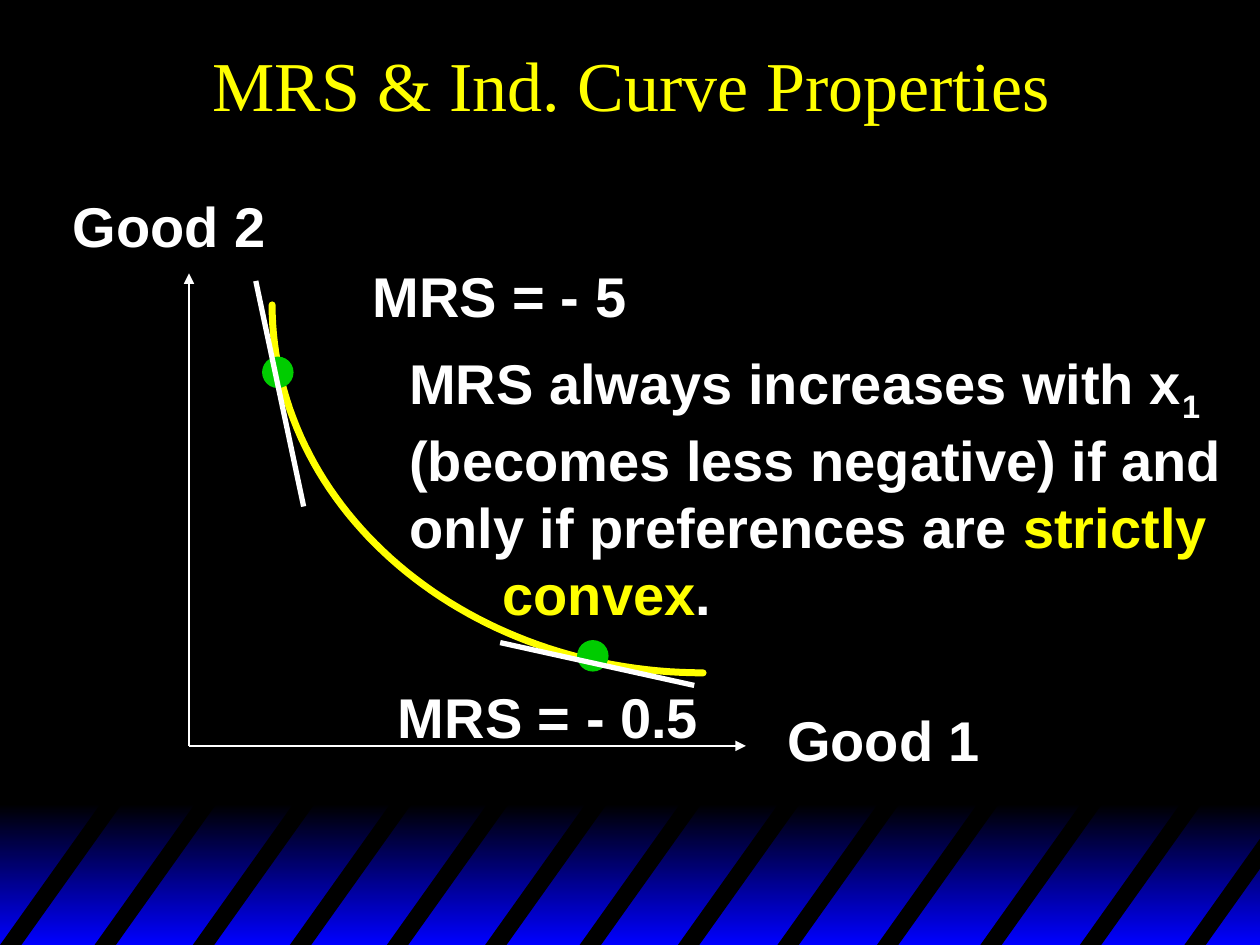
from math import cos, sin, pi
from lxml import etree
from pptx import Presentation
from pptx.dml.color import RGBColor
from pptx.enum.shapes import MSO_CONNECTOR as Link, MSO_SHAPE as Shape
from pptx.enum.text import MSO_ANCHOR as Anchor, PP_ALIGN as Align
from pptx.oxml.ns import qn
from pptx.util import Inches, Pt

BLACK = RGBColor(0, 0, 0)
BLUE = RGBColor(0, 0, 255)
WHITE = RGBColor(255, 255, 255)
YELLOW = RGBColor(255, 255, 0)
GREEN = RGBColor(0, 204, 0)

HEAD = dict(name="Times New Roman", size=Pt(40))
BODY = dict(name="Arial", size=Pt(32), bold=True)


def add_run(para, text, style, color):
    run = para.add_run()
    run.text = text
    for key, value in style.items():
        setattr(run.font, key, value)
    run.font.color.rgb = color
    return run


def add_box(slide, box, wrap=False):
    frame = slide.shapes.add_textbox(*map(Inches, box)).text_frame
    frame.word_wrap = wrap
    return frame


def add_label(slide, box, text):
    add_run(add_box(slide, box).paragraphs[0], text, BODY, WHITE)


def add_line(slide, start, end, width, arrow=False):
    line = slide.shapes.add_connector(Link.STRAIGHT, *map(Inches, start + end))
    line.line.color.rgb = WHITE
    line.line.width = Pt(width)
    props = line._element.spPr
    if arrow:
        etree.SubElement(props.find(qn("a:ln")), qn("a:tailEnd"), type="triangle")
    etree.SubElement(props, qn("a:effectLst"))


def add_path(slide, points, closed):
    points = [(Inches(x), Inches(y)) for x, y in points]
    pen = slide.shapes.build_freeform(*points[0])
    pen.add_line_segments(points[1:], close=closed)
    shape = pen.convert_to_shape()
    shape.shadow.inherit = False
    return shape


def draw_floor(slide, left, top, width, height):
    # Blue fade
    fade = slide.shapes.add_shape(
        Shape.RECTANGLE, *map(Inches, (left, top, width, height)))
    fade.shadow.inherit = False
    fade.line.fill.background()
    fade.fill.gradient()
    fade.fill.gradient_angle = 270
    for stop, color in zip(fade.fill.gradient_stops, (BLACK, BLUE)):
        stop.color.rgb = color

    # Slanted black bars, cut off at the right edge
    base, edge, lean, thick = top + height, left + width, 0.84, 0.17
    slope = 1.18 / lean
    starts = (0, 0.75, 1.53, 2.3, 3.07, 3.85, 4.6, 5.38, 6.17, 6.96,
              7.78, 8.57, 9.4)
    for start in starts:
        near, far = left + start, left + start + thick
        run_near, run_far = min(lean, edge - near), min(lean, edge - far)
        bar = add_path(slide, [
            (near, base), (near + run_near, base - run_near * slope),
            (far + run_far, base - run_far * slope), (far, base)], True)
        bar.fill.solid()
        bar.fill.fore_color.rgb = BLACK
        bar.line.fill.background()


def draw_title(slide, box):
    frame = add_box(slide, box, wrap=True)
    frame.vertical_anchor = Anchor.MIDDLE
    para = frame.paragraphs[0]
    para.alignment = Align.CENTER
    add_run(para, "MRS & Ind. Curve Properties", HEAD, YELLOW)


def draw_graph(slide, left, top, width, height):
    # Axes
    base = top + height
    add_line(slide, (left, base), (left, top), 1, arrow=True)
    add_line(slide, (left, base), (left + width, base), 1, arrow=True)

    # Curve: a quarter of an ellipse
    mid_x, mid_y, wide, high, steps = left + 4.08, top + 0.25, 3.42, 2.92, 60
    turns = [pi / 2 * i / steps for i in range(steps + 1)]
    curve = add_path(slide, [(mid_x - wide * cos(t), mid_y + high * sin(t))
                             for t in turns], False)
    curve.fill.background()
    curve.line.color.rgb = YELLOW
    curve.line.width = Pt(4)
    curve.line._ln.set("cap", "rnd")

    # Axis names
    add_label(slide, (left - 1.02, top - 0.7, 1.74, 0.63), "Good 2")
    add_label(slide, (left + 4.65, top + 3.38, 1.74, 0.63), "Good 1")

    # Points with their tangents and slopes
    size = 0.25
    for x, y in ((3.08, 2.91), (0.58, 0.66)):
        dot = slide.shapes.add_shape(
            Shape.OVAL, *map(Inches, (left + x, top + y, size, size)))
        dot.shadow.inherit = False
        dot.fill.solid()
        dot.fill.fore_color.rgb = GREEN
        dot.line.fill.background()
    for x1, y1, x2, y2 in ((0.53, 0.06, 0.91, 1.85), (2.47, 2.93, 4.01, 3.27)):
        add_line(slide, (left + x1, top + y1), (left + x2, top + y2), 3)
    add_label(slide, (left + 1.36, top - 0.14, 2.22, 0.63), "MRS = - 5")
    add_label(slide, (left + 1.56, top + 3.2, 2.59, 0.63), "MRS = - 0.5")


def draw_note(slide, box):
    para = add_box(slide, box, wrap=True).paragraphs[0]
    tabs = etree.SubElement(para._p.get_or_add_pPr(), qn("a:tabLst"))
    etree.SubElement(tabs, qn("a:tab"), pos=str(Inches(0.74)), algn="l")
    add_run(para, "MRS always increases with x", BODY, WHITE)
    low = add_run(para, "1", BODY, WHITE)
    low._r.get_or_add_rPr().set("baseline", "-25000")
    add_run(para, " (becomes less negative) if and only if preferences are ",
            BODY, WHITE)
    add_run(para, "strictly", BODY, YELLOW)
    para.add_line_break()
    add_run(para, "\tconvex", BODY, YELLOW)
    add_run(para, ".", BODY, WHITE)


def main():
    deck = Presentation()
    deck.slide_width, deck.slide_height = Inches(10), Inches(7.5)
    slide = deck.slides.add_slide(deck.slide_layouts[6])
    slide.background.fill.solid()
    slide.background.fill.fore_color.rgb = BLACK
    draw_floor(slide, 0, 6.38, 10, 1.12)
    draw_title(slide, (0.76, 0, 8.5, 1.33))
    draw_graph(slide, 1.5, 2.17, 4.42, 3.75)
    draw_note(slide, (3.15, 2.72, 6.77, 2.31))
    deck.save("out.pptx")


if __name__ == "__main__":
    main()
